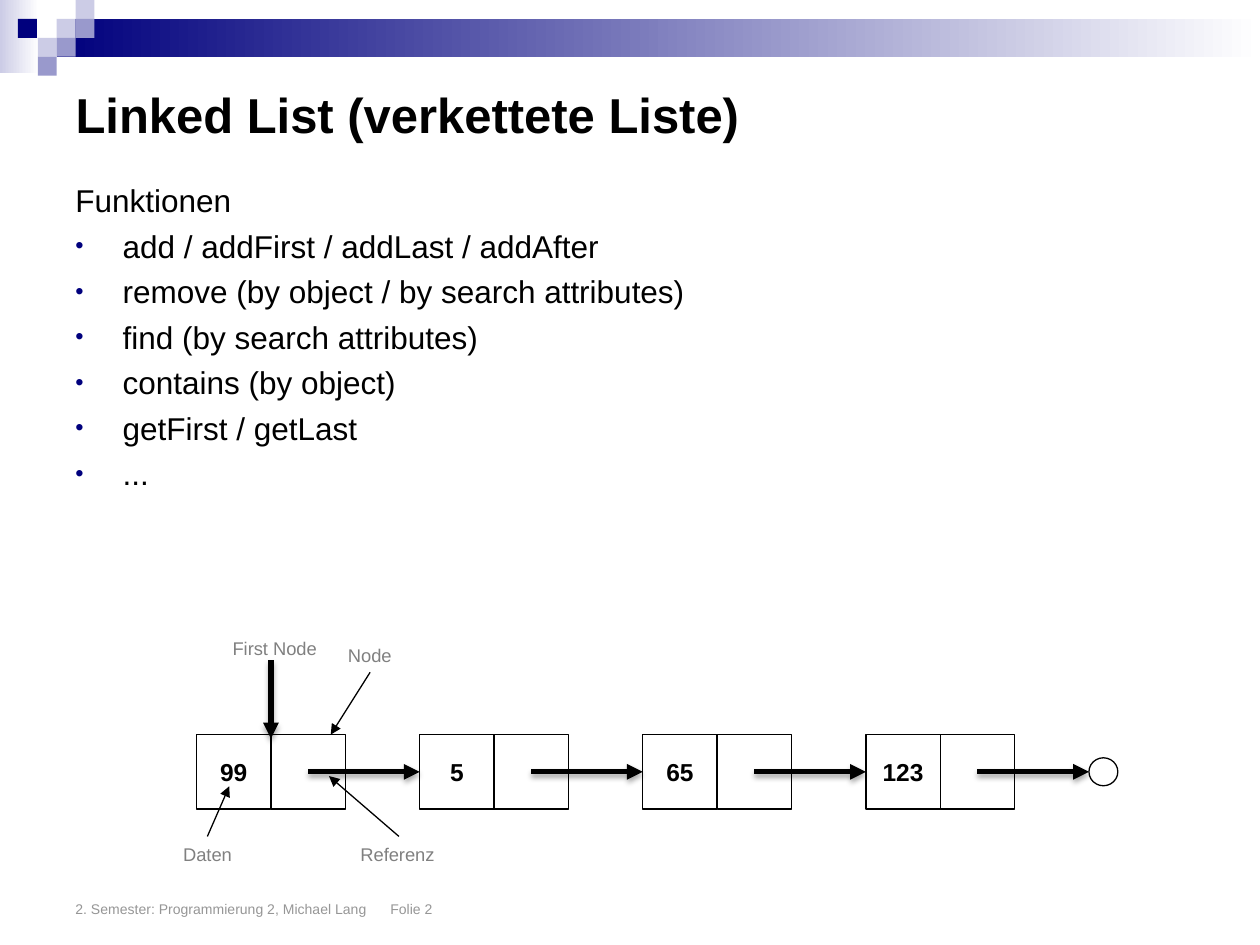
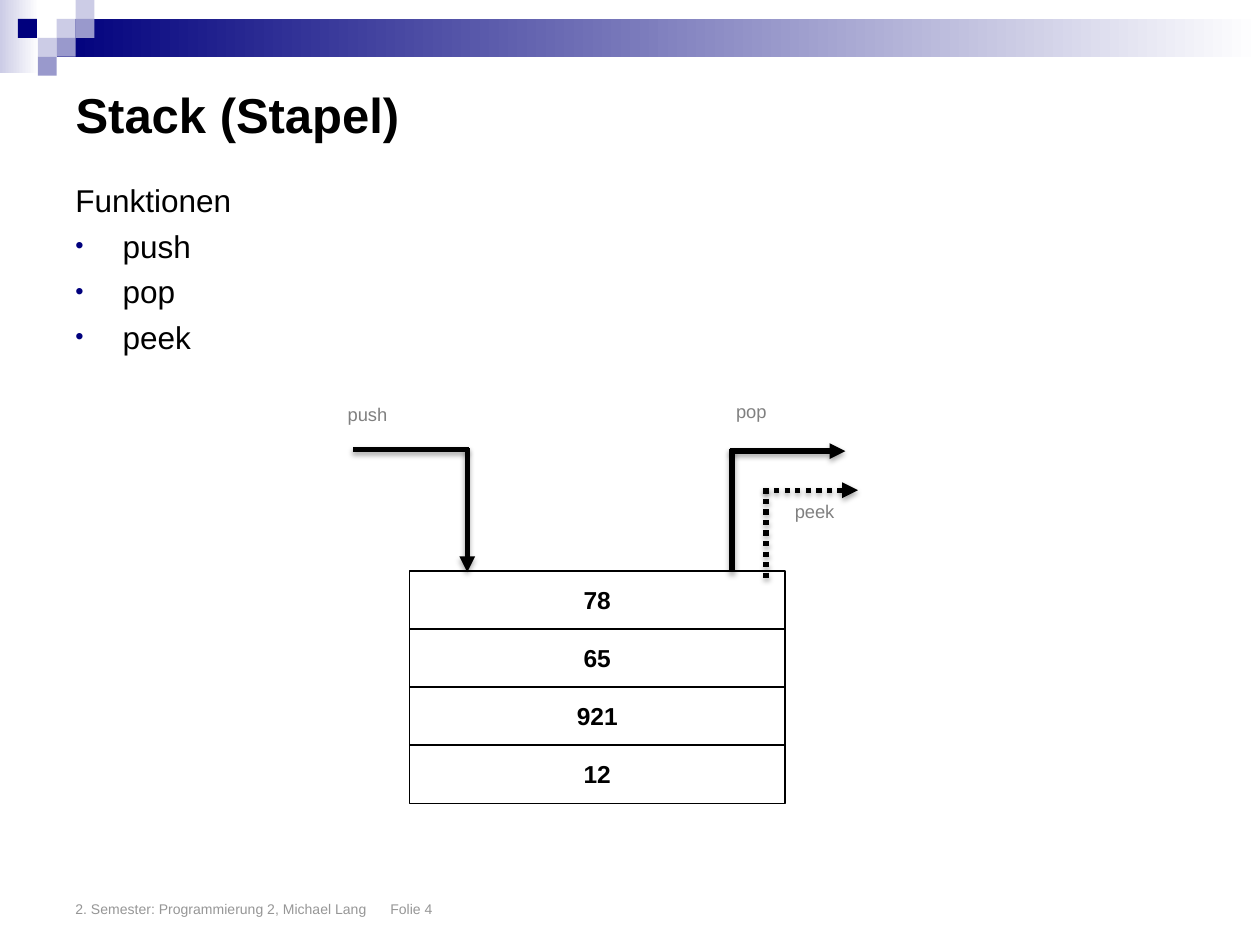
from dataclasses import dataclass

from pptx import Presentation
from pptx.dml.color import RGBColor
from pptx.enum.dml import MSO_LINE
from pptx.enum.shapes import MSO_CONNECTOR, MSO_SHAPE
from pptx.enum.text import MSO_ANCHOR, MSO_AUTO_SIZE, PP_ALIGN
from pptx.oxml import parse_xml
from pptx.oxml.ns import nsdecls
from pptx.util import Pt

RECT, OVAL = MSO_SHAPE.RECTANGLE, MSO_SHAPE.OVAL
STRAIGHT = MSO_CONNECTOR.STRAIGHT
DOTTED = MSO_LINE.ROUND_DOT
TOP, MIDDLE, BOTTOM = MSO_ANCHOR.TOP, MSO_ANCHOR.MIDDLE, MSO_ANCHOR.BOTTOM
LEFT, CENTER = PP_ALIGN.LEFT, PP_ALIGN.CENTER
NO_FIT = MSO_AUTO_SIZE.NONE
TITLE_ONLY = 5


@dataclass(frozen=True)
class Theme:
    font: str = "Arial"
    black: str = "000000"
    white: str = "FFFFFF"
    navy: str = "00007D"
    mid: str = "9999CC"
    pale: str = "CCCCE6"
    label_gray: str = "808080"
    footer_gray: str = "969696"
    title_size: float = 28
    body_size: float = 18
    cell_size: float = 14
    label_size: float = 10.5
    footer_size: float = 8
    thin: float = 0.75
    thick: float = 3


THEME = Theme()

# Shared header: tiles on a small grid as (column, row, colour)
TILE = 10.8
TILES = [
    (3, 1, THEME.pale), (4, 0, THEME.pale), (4, 1, THEME.mid),
    (2, 2, THEME.pale), (0.95, 1, THEME.navy), (3, 2, THEME.mid),
    (2, 3, THEME.mid),
]


def apply(target, values):
    for name, value in values.items():
        setattr(target, name, value)


def points(*lengths):
    return [Pt(length) for length in lengths]


# Text
def write(para, text, size, color, bold=False, align=LEFT):
    para.alignment = align
    span = para.add_run()
    span.text = text
    apply(span.font, {"name": THEME.font, "size": Pt(size), "bold": bold})
    span.font.color.rgb = RGBColor.from_string(color)


def add_text_box(page, area, anchor=TOP, wrap=True):
    frame = page.shapes.add_textbox(*points(*area)).text_frame
    apply(frame, {"word_wrap": wrap, "auto_size": NO_FIT,
                  "vertical_anchor": anchor})
    return frame


def add_label(page, text, left, top, width):
    frame = add_text_box(page, (left, top, width, 20), wrap=False)
    write(frame.paragraphs[0], text, THEME.label_size, THEME.label_gray,
          align=CENTER)


def add_bullet(para):
    props = para._p.get_or_add_pPr()
    for xml in (
        f'<a:buClr {nsdecls("a")}><a:srgbClr val="{THEME.navy}"/></a:buClr>',
        f'<a:buSzPct {nsdecls("a")} val="75000"/>',
        f'<a:buFont {nsdecls("a")} typeface="{THEME.font}"/>',
        f'<a:buChar {nsdecls("a")} char="\u2022"/>',
    ):
        props.append(parse_xml(xml))


def add_functions(page, names):
    frame = add_text_box(page, (36, 100, 648, 262))
    for index, text in enumerate(["Funktionen", *names]):
        para = frame.paragraphs[0] if index == 0 else frame.add_paragraph()
        para.space_before = Pt(4.4)
        props = para._p.get_or_add_pPr()
        props.set("marL", str(Pt(27)))
        props.set("indent", str(Pt(-27)))
        if index:
            add_bullet(para)
        write(para, text, THEME.body_size, THEME.black)


# Shapes
def add_block(page, area, fill):
    """Borderless rectangle; two colours make a left-to-right gradient."""
    block = page.shapes.add_shape(RECT, *points(*area))
    block.shadow.inherit = False
    block.line.fill.background()
    if isinstance(fill, str):
        block.fill.solid()
        block.fill.fore_color.rgb = RGBColor.from_string(fill)
        return
    block.fill.gradient()
    block.fill.gradient_angle = 0
    for position, (stop, color) in enumerate(zip(block.fill.gradient_stops, fill)):
        stop.position = position
        stop.color.rgb = RGBColor.from_string(color)


def add_cell(page, area, text="", kind=RECT):
    """Unfilled outline with an optional centred value."""
    cell = page.shapes.add_shape(kind, *points(*area))
    cell.shadow.inherit = False
    cell.fill.background()
    cell.line.color.rgb = RGBColor.from_string(THEME.black)
    cell.line.width = Pt(THEME.thin)
    if text:
        frame = cell.text_frame
        apply(frame, {"word_wrap": False, "vertical_anchor": MIDDLE})
        write(frame.paragraphs[0], text, THEME.cell_size, THEME.black,
              bold=True, align=CENTER)


def add_line(page, start, end, thick=True, head=True, dash=None):
    """Straight line; thick ones cast a soft shadow."""
    line = page.shapes.add_connector(STRAIGHT, *points(*start, *end))
    line.line.color.rgb = RGBColor.from_string(THEME.black)
    line.line.width = Pt(THEME.thick if thick else THEME.thin)
    if dash:
        line.line.dash_style = dash
    if head:
        line.line._get_or_add_ln().append(
            parse_xml(f'<a:tailEnd {nsdecls("a")} type="triangle"/>'))
    shadow = (
        f'<a:outerShdw blurRad="{Pt(3.1)}" dist="{Pt(1.8)}" dir="5400000" '
        f'rotWithShape="0"><a:srgbClr val="{THEME.black}">'
        '<a:alpha val="35000"/></a:srgbClr></a:outerShdw>'
    ) if thick else ""
    line._element.spPr.append(
        parse_xml(f'<a:effectLst {nsdecls("a")}>{shadow}</a:effectLst>'))


# Page frame: header, title, footer
def add_page(deck, title, number):
    page = deck.slides.add_slide(deck.slide_layouts[TITLE_ONLY])
    add_block(page, (0, 0, 22.3, 41.8), (THEME.pale, THEME.white))
    add_block(page, (3 * TILE, TILE, 720 - 3 * TILE, 2 * TILE),
              (THEME.navy, THEME.white))
    for column, row, color in TILES:
        add_block(page, (column * TILE, row * TILE, TILE, TILE), color)

    box = page.shapes.title
    apply(box, dict(zip(("left", "top", "width", "height"),
                        points(36, 36, 648, 58.3))))
    apply(box.text_frame, {"vertical_anchor": MIDDLE, "word_wrap": True,
                           "auto_size": NO_FIT})
    write(box.text_frame.paragraphs[0], title, THEME.title_size,
          THEME.black, bold=True)

    footer = add_text_box(page, (36, 491.8, 648, 36), BOTTOM)
    write(footer.paragraphs[0],
          f"2. Semester: Programmierung 2, Michael Lang\tFolie {number}",
          THEME.footer_size, THEME.footer_gray)
    return page


# Diagrams
def draw_linked_list(page, values):
    left, top, side = 112.3, 419.8, 42.5
    middle = top + side / 2
    pitch = 3 * side
    for index, value in enumerate(values):
        x = left + index * pitch
        add_cell(page, (x, top, side, side), value)
        add_cell(page, (x + side, top, side, side))
        add_line(page, (x + 1.5 * side, middle), (x + pitch, middle))
    end = left + len(values) * pitch
    add_cell(page, (end, middle - 8, 16.5, 16), kind=OVAL)

    add_line(page, (left + side, 377.3), (left + side, 422))
    for start, tip in [((211.5, 384.2), (189, 419.8)),
                       ((118.5, 478), (131, 449.3)),
                       ((228, 478), (188, 443.5))]:
        add_line(page, start, tip, thick=False)
    for text, x, y, width in [("First Node", 125.3, 360.7, 63.4),
                              ("Node", 191.2, 364.3, 40.3),
                              ("Daten", 97, 478, 43.2),
                              ("Referenz", 198.4, 478, 57.6)]:
        add_label(page, text, x, y, width)


def draw_stack(page, values):
    left, top, width, height = 234, 326.2, 214.6, 33.2
    for index, value in enumerate(values):
        add_cell(page, (left, top + index * height, width, height), value)

    # push enters from the left, pop and peek leave to the right
    add_line(page, (267.8, 257), (201.6, 257), head=False)
    add_line(page, (267, 256.3), (267, 326.9))
    for x, y, tip, bottom, dash in [(418.3, 257.8, 483.1, 326.9, None),
                                    (437.8, 280.1, 490.3, 330.5, DOTTED)]:
        add_line(page, (x - 1.4, y), (tip, y), dash=dash)
        add_line(page, (x, y - 1), (x, bottom), head=False, dash=dash)
    for text, x, y, label_width in [("push", 191.5, 226.8, 37),
                                    ("pop", 413.3, 224.9, 32),
                                    ("peek", 447, 282.2, 37)]:
        add_label(page, text, x, y, label_width)


def main():
    deck = Presentation()
    apply(deck, {"slide_width": Pt(720), "slide_height": Pt(540)})

    page = add_page(deck, "Linked List (verkettete Liste)", 2)
    add_functions(page, [
        "add / addFirst / addLast / addAfter",
        "remove (by object / by search attributes)",
        "find (by search attributes)",
        "contains (by object)",
        "getFirst / getLast",
        "...",
    ])
    draw_linked_list(page, ["99", "5", "65", "123"])

    page = add_page(deck, "Stack (Stapel)", 4)
    add_functions(page, ["push", "pop", "peek"])
    draw_stack(page, ["78", "65", "921", "12"])

    deck.save("out.pptx")


main()
